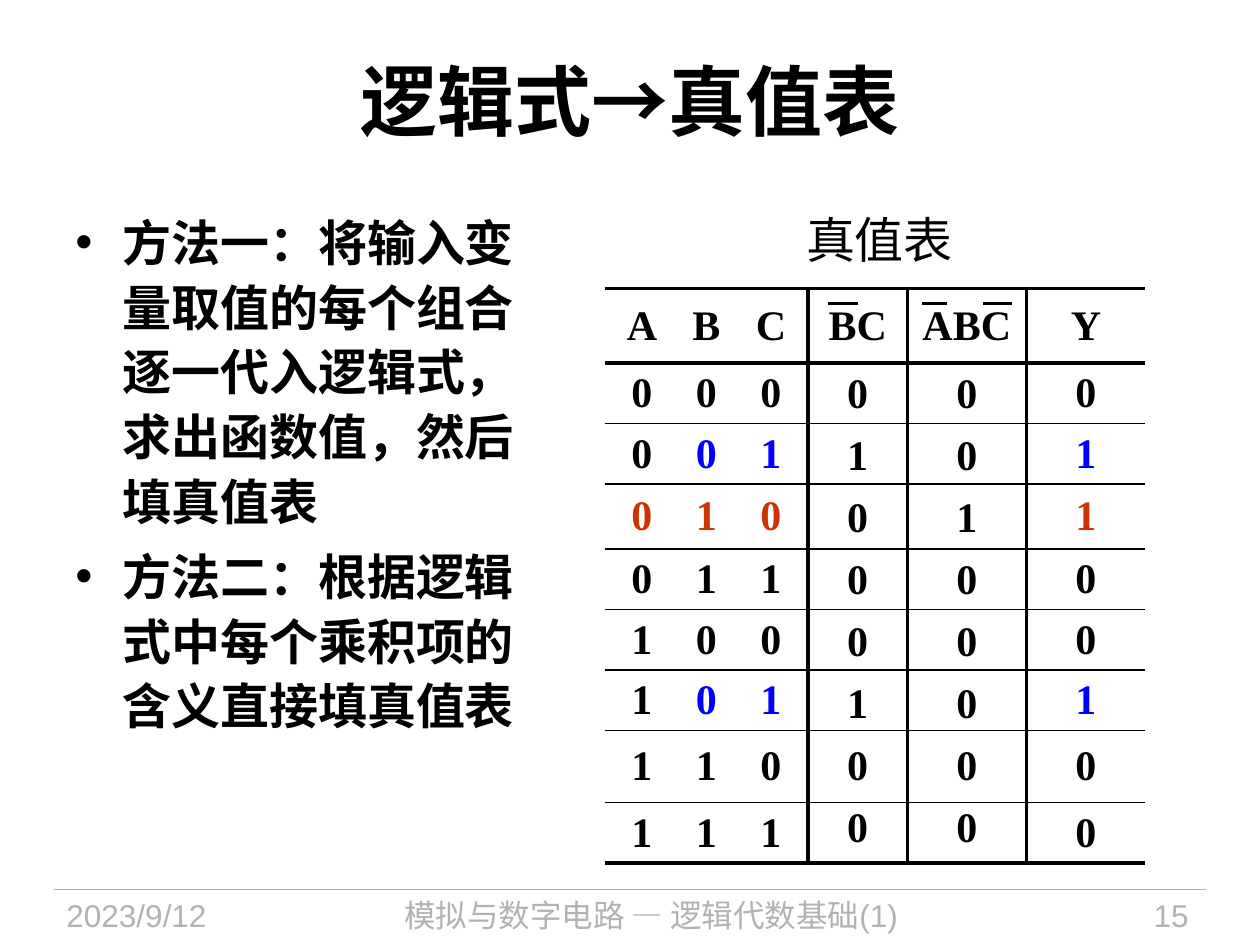
"""Build the slide on turning a logic expression into a truth table."""
import pptx
import pptx.dml.color
import pptx.enum.shapes
import pptx.enum.text
import pptx.oxml
import pptx.oxml.ns
import pptx.util
from lxml import etree

Cm = pptx.util.Cm
Pt = pptx.util.Pt
ALIGN = pptx.enum.text.PP_ALIGN
ANCHOR = pptx.enum.text.MSO_ANCHOR
qn = pptx.oxml.ns.qn

COLORS = {"black": "000000", "grey": "B2B2B2", "blue": "0000FF", "red": "CC3300"}
TITLE = "逻辑式→真值表"
TABLE_TITLE = "真值表"
METHODS = [
    "方法一：将输入变量取值的每个组合逐一代入逻辑式，求出函数值，然后填真值表",
    "方法二：根据逻辑式中每个乘积项的含义直接填真值表",
]
FOOTERS = [
    ("2023/9/12", 1.09, 4.78, ALIGN.LEFT),
    ("模拟与数字电路 — 逻辑代数基础(1)", 6.32, 13.61, ALIGN.CENTER),
    ("15", 20.83, 3.38, ALIGN.RIGHT),
]
HEADER = ["A", "B", "C", "BC", "ABC", "Y"]
INPUTS = [
    ["0", "0", "0"],
    ["0", "0:blue", "1:blue"],
    ["0:red", "1:red", "0:red"],
    ["0", "1", "1"],
    ["1", "0", "0"],
    ["1", "0:blue", "1:blue"],
    ["1", "1", "0"],
    ["1", "1", "1"],
]
PRODUCTS = [
    ["0", "0"], ["1", "0"], ["0", "1"], ["0", "0"],
    ["0", "0"], ["1", "0"], ["0", "0"], ["0", "0"],
]
OUTPUTS = [["0"], ["1:blue"], ["1:red"], ["0"], ["0"], ["1:blue"], ["0"], ["0"]]

TABLE_LEFT, TABLE_TOP = 12.19, 5.82
COLUMN_WIDTHS = [1.5, 1.1, 1.5, 2.0, 2.4, 2.4]
HEADER_HEIGHT = 1.5
BODY_HEIGHTS = [1.22, 1.22, 1.31, 1.22, 1.22, 1.22, 1.45, 1.22]
PRODUCT_HEIGHTS = [1.25] * 8
OVERBARS = [(16.69, 17.3), (18.59, 19.1), (19.81, 20.4)]
OVERBAR_Y = 6.12
THICK, THIN = 2.25, 1
RULED_COLUMN_EDGES = {3, 4, 5}
FOOTER_TOP = 17.93


def color(name):
    return pptx.dml.color.RGBColor.from_string(COLORS[name])


def style(paragraph, size, tone="black", bold=False, align=ALIGN.LEFT, face="Arial"):
    paragraph.alignment = align
    font = paragraph.font
    font.size, font.bold, font.name = Pt(size), bold, face
    font.color.rgb = color(tone)


def add_text(slide, text, box, size, anchor=ANCHOR.TOP, wrap=True, **look):
    frame = slide.shapes.add_textbox(*map(Cm, box)).text_frame
    frame.word_wrap = wrap
    frame.vertical_anchor = anchor
    frame.text = text
    style(frame.paragraphs[0], size, **look)


def add_methods(slide):
    frame = slide.shapes.add_textbox(Cm(1.27), Cm(4.04), Cm(10.24), Cm(11.3)).text_frame
    frame.word_wrap = True
    frame.text = "\n".join(METHODS)
    for paragraph in frame.paragraphs:
        paragraph.line_spacing = 1.1
        paragraph.space_after = Pt(6)
        properties = paragraph._p.get_or_add_pPr()
        properties.set("marL", str(Cm(0.95)))
        properties.set("indent", str(-Cm(0.95)))
        etree.SubElement(properties, qn("a:buFont"), typeface="Arial")
        etree.SubElement(properties, qn("a:buChar"), char="•")
        style(paragraph, 28, bold=True)


def add_line(slide, x1, x2, y, tone, width):
    line = slide.shapes.add_connector(
        pptx.enum.shapes.MSO_CONNECTOR.STRAIGHT, Cm(x1), Cm(y), Cm(x2), Cm(y))
    line.line.color.rgb = color(tone)
    line.line.width = Pt(width)
    etree.SubElement(line._element.spPr, qn("a:effectLst"))


def set_borders(cell, widths):
    properties = cell._tc.get_or_add_tcPr()
    for side, width in zip("LRTB", widths):
        border = etree.SubElement(properties, qn("a:ln" + side), w=str(Pt(width)))
        if width:
            fill = etree.SubElement(border, qn("a:solidFill"))
            etree.SubElement(fill, qn("a:srgbClr"), val=COLORS["black"])
        else:
            etree.SubElement(border, qn("a:noFill"))


def truth_borders(row, column):
    def vertical(edge):
        return THICK if edge in RULED_COLUMN_EDGES else 0

    def horizontal(edge):
        return THICK if edge in (0, 1, len(INPUTS) + 1) else THIN

    return vertical(column), vertical(column + 1), horizontal(row), horizontal(row + 1)


def no_borders(row, column):
    return 0, 0, 0, 0


def add_table(slide, rows, left, top, widths, heights, borders=no_borders):
    table = slide.shapes.add_table(
        len(heights), len(widths), Cm(left), Cm(top), Cm(sum(widths)), Cm(sum(heights))).table
    table.first_row = table.horz_banding = False
    for column, width in zip(table.columns, widths):
        column.width = Cm(width)
    for row, height in zip(table.rows, heights):
        row.height = Cm(height)
    for i, row in enumerate(rows):
        for j, entry in enumerate(row):
            cell = table.cell(i, j)
            cell.margin_left = cell.margin_right = cell.margin_top = cell.margin_bottom = 0
            cell.vertical_anchor = ANCHOR.MIDDLE
            set_borders(cell, borders(i, j))
            cell.fill.background()
            text, _, tone = entry.partition(":")
            cell.text = text
            style(cell.text_frame.paragraphs[0], 24, tone or "black", True,
                  ALIGN.CENTER, "Times New Roman")


def main():
    presentation = pptx.Presentation()
    presentation.slide_width, presentation.slide_height = Cm(25.4), Cm(19.05)
    slide = presentation.slides.add_slide(presentation.slide_layouts[6])

    add_line(slide, 1.09, 24.31, FOOTER_TOP, "grey", 0.75)
    for text, left, width, align in FOOTERS:
        add_text(slide, text, (left, FOOTER_TOP, width, 1.12), 18, tone="grey", align=align)
    add_text(slide, TITLE, (1.27, 0.43, 22.86, 3.18), 44, ANCHOR.MIDDLE,
             bold=True, align=ALIGN.CENTER)
    add_methods(slide)

    truth_rows = [HEADER] + [row + [""] * 3 for row in INPUTS]
    add_table(slide, truth_rows, TABLE_LEFT, TABLE_TOP, COLUMN_WIDTHS,
              [HEADER_HEIGHT] + BODY_HEIGHTS, truth_borders)
    add_text(slide, TABLE_TITLE, (16, 4.09, 3.48, 1.45), 28, wrap=False)
    for start, end in OVERBARS:
        add_line(slide, start, end, OVERBAR_Y, "black", 1.5)

    body_top = TABLE_TOP + HEADER_HEIGHT
    add_table(slide, PRODUCTS, TABLE_LEFT + sum(COLUMN_WIDTHS[:3]), body_top,
              COLUMN_WIDTHS[3:5], PRODUCT_HEIGHTS)
    add_table(slide, OUTPUTS, TABLE_LEFT + sum(COLUMN_WIDTHS[:5]), body_top,
              COLUMN_WIDTHS[5:], BODY_HEIGHTS)
    presentation.save("out.pptx")


if __name__ == "__main__":
    main()
